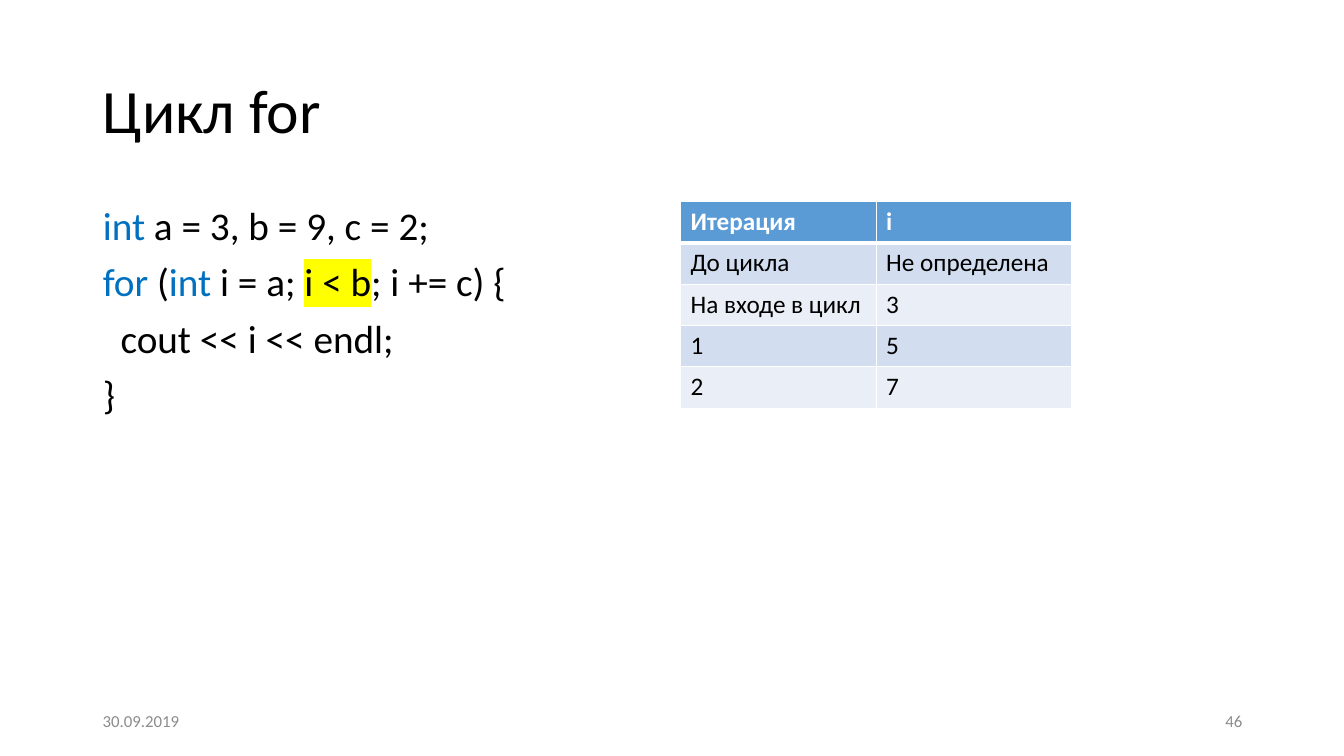
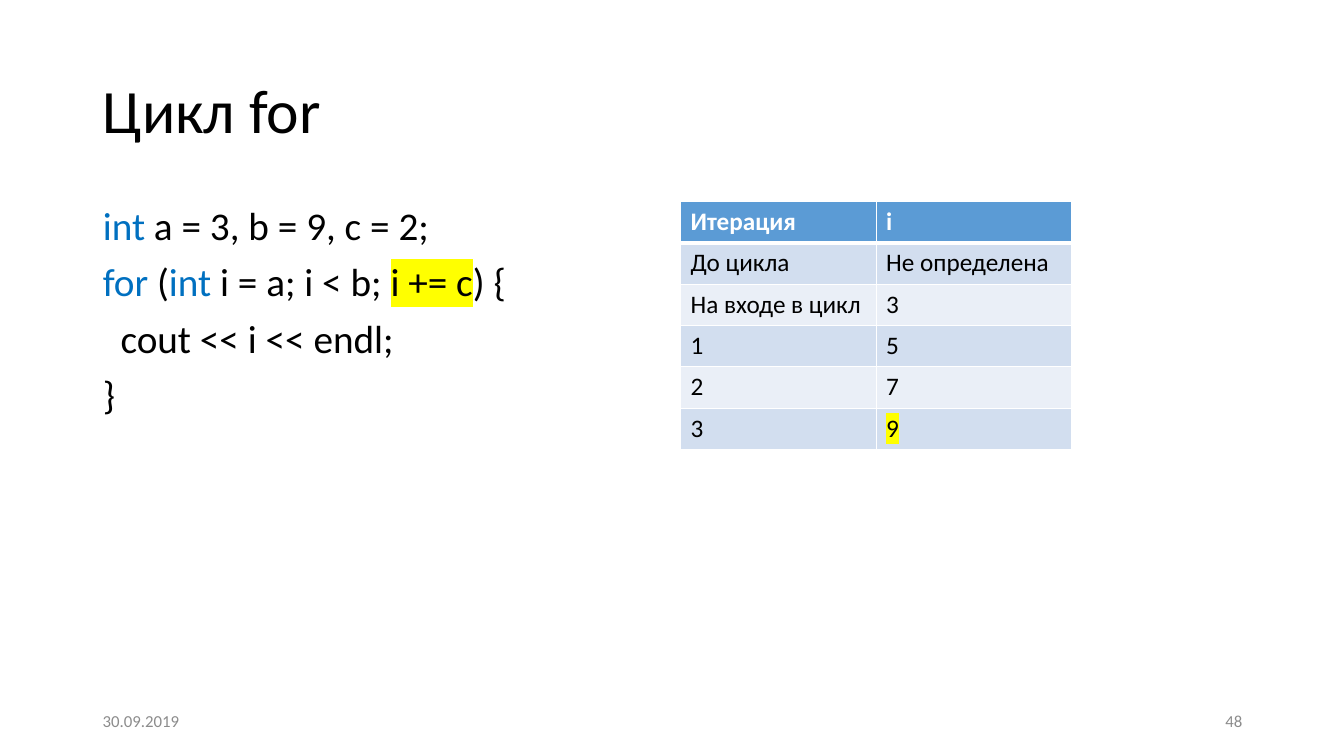
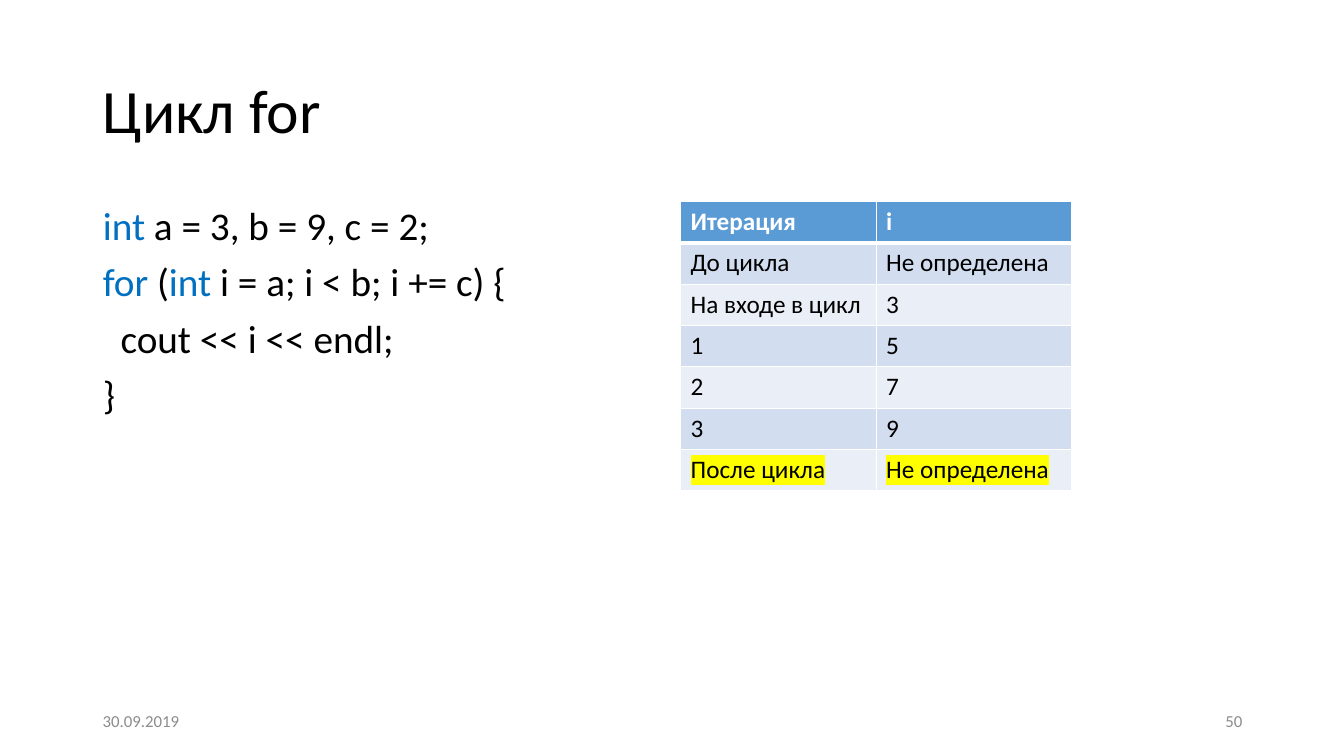
from dataclasses import dataclass

from lxml import etree
from pptx import Presentation
from pptx.dml.color import RGBColor
from pptx.enum.text import MSO_ANCHOR, MSO_AUTO_SIZE, PP_ALIGN
from pptx.oxml.ns import qn
from pptx.util import Inches, Pt

LEFT, RIGHT = PP_ALIGN.LEFT, PP_ALIGN.RIGHT
TOP, MIDDLE = MSO_ANCHOR.TOP, MSO_ANCHOR.MIDDLE
NO_AUTOFIT = MSO_AUTO_SIZE.NONE

FONT = "Calibri"
BLACK, WHITE, GREY = "000000", "FFFFFF", "8C8C8C"
KEYWORD_BLUE, HEADER_BLUE = "0070C0", "5B9BD5"
BANDS = ("D2DEEF", "EAEFF7")
MARKER_YELLOW = "FFFF00"

TITLE = "Цикл for"
DATE = "30.09.2019"
KEYWORDS = ("int", "for")
CODE = (
    ("int", " a = 3, b = 9, c = 2;"),
    ("for", " (", "int", " i = a; i < b; i += c) {"),
    ("  cout << i << endl;",),
    ("}",),
)
TRACE = (
    ("Итерация", "i"),
    ("До цикла", "Не определена"),
    ("На входе в цикл", "3"),
    ("1", "5"),
    ("2", "7"),
    ("3", "9"),
    ("После цикла", "Не определена"),
)
MARGIN = 0.92
COLUMN_WIDTH, ROW_HEIGHT = 1.94, 0.41


@dataclass(frozen=True)
class Step:
    page: str
    row_count: int
    marked_code: str = ""
    marked_cells: tuple[tuple[int, int], ...] = ()


STEPS = (
    Step("46", 5, marked_code="i < b"),
    Step("48", 6, marked_code="i += c", marked_cells=((5, 1),)),
    Step("50", 7, marked_cells=((6, 0), (6, 1))),
)


def rgb(color: str) -> RGBColor:
    return RGBColor.from_string(color)


def set_font(paragraph, size: float, color: str, bold: bool = False) -> None:
    font = paragraph.font
    font.name, font.size, font.bold = FONT, Pt(size), bold
    font.color.rgb = rgb(color)


def place(shape, left: float, top: float, width: float, height: float, anchor) -> None:
    shape.left, shape.top = Inches(left), Inches(top)
    shape.width, shape.height = Inches(width), Inches(height)
    frame = shape.text_frame
    frame.word_wrap = True
    frame.auto_size = NO_AUTOFIT
    frame.vertical_anchor = anchor


def add_run(paragraph, text: str, color: str = "", marked: bool = False) -> None:
    run = paragraph.add_run()
    run.text = text
    if color:
        run.font.color.rgb = rgb(color)
    if marked:
        highlight = etree.SubElement(run._r.get_or_add_rPr(), qn("a:highlight"))
        etree.SubElement(highlight, qn("a:srgbClr")).set("val", MARKER_YELLOW)


def add_title(slide) -> None:
    title = slide.shapes.title
    place(title, MARGIN, 0.4, 11.5, 1.45, MIDDLE)
    title.text_frame.text = TITLE
    paragraph = title.text_frame.paragraphs[0]
    paragraph.alignment = LEFT
    paragraph.line_spacing = 0.9
    set_font(paragraph, 44, BLACK)


def add_code(slide, marked_code: str) -> None:
    body = slide.placeholders[1]
    place(body, MARGIN, 2, 5.67, 4.76, TOP)
    frame = body.text_frame
    for number, tokens in enumerate(CODE):
        line = frame.add_paragraph() if number else frame.paragraphs[0]
        properties = line._p.get_or_add_pPr()
        properties.set("marL", "0")
        properties.set("indent", "0")
        etree.SubElement(properties, qn("a:buNone"))
        line.line_spacing = 0.9
        line.space_before = Pt(10 if number else 0)
        set_font(line, 28, BLACK)
        for token in tokens:
            if token in KEYWORDS:
                add_run(line, token, KEYWORD_BLUE)
            elif marked_code and marked_code in token:
                before, marked, after = token.partition(marked_code)
                add_run(line, before)
                add_run(line, marked, marked=True)
                add_run(line, after)
            else:
                add_run(line, token)


def set_borders(cell, row: int) -> None:
    widths = {"a:lnL": 1, "a:lnR": 1, "a:lnT": 3 if row == 1 else 1, "a:lnB": 1 if row else 3}
    properties = cell._tc.get_or_add_tcPr()
    for position, (tag, width) in enumerate(widths.items()):
        border = etree.Element(qn(tag), w=str(Pt(width)))
        fill = etree.SubElement(border, qn("a:solidFill"))
        etree.SubElement(fill, qn("a:srgbClr")).set("val", WHITE)
        properties.insert(position, border)


def add_trace(slide, step: Step) -> None:
    columns = len(TRACE[0])
    trace = slide.shapes.add_table(
        step.row_count, columns, Inches(6.75), Inches(2),
        Inches(columns * COLUMN_WIDTH), Inches(step.row_count * ROW_HEIGHT),
    ).table
    trace.horz_banding = False
    for column in trace.columns:
        column.width = Inches(COLUMN_WIDTH)
    for row, values in enumerate(TRACE[:step.row_count]):
        trace.rows[row].height = Inches(ROW_HEIGHT)
        is_header = row == 0
        for column, value in enumerate(values):
            cell = trace.cell(row, column)
            cell.fill.solid()
            cell.fill.fore_color.rgb = rgb(HEADER_BLUE if is_header else BANDS[(row - 1) % 2])
            set_borders(cell, row)
            paragraph = cell.text_frame.paragraphs[0]
            set_font(paragraph, 18, WHITE if is_header else BLACK, is_header)
            add_run(paragraph, value, marked=(row, column) in step.marked_cells)


def add_footer(slide, text: str, left: float, alignment) -> None:
    footer = slide.shapes.add_textbox(0, 0, 0, 0)
    place(footer, left, 6.95, 3, 0.4, MIDDLE)
    paragraph = footer.text_frame.paragraphs[0]
    paragraph.alignment = alignment
    set_font(paragraph, 12, GREY)
    add_run(paragraph, text)


def main() -> None:
    presentation = Presentation()
    presentation.slide_width, presentation.slide_height = Inches(13.33), Inches(7.5)
    for step in STEPS:
        slide = presentation.slides.add_slide(presentation.slide_layouts[1])
        add_title(slide)
        add_code(slide, step.marked_code)
        add_trace(slide, step)
        add_footer(slide, DATE, MARGIN, LEFT)
        add_footer(slide, step.page, 9.42, RIGHT)
    presentation.save("out.pptx")


if __name__ == "__main__":
    main()
